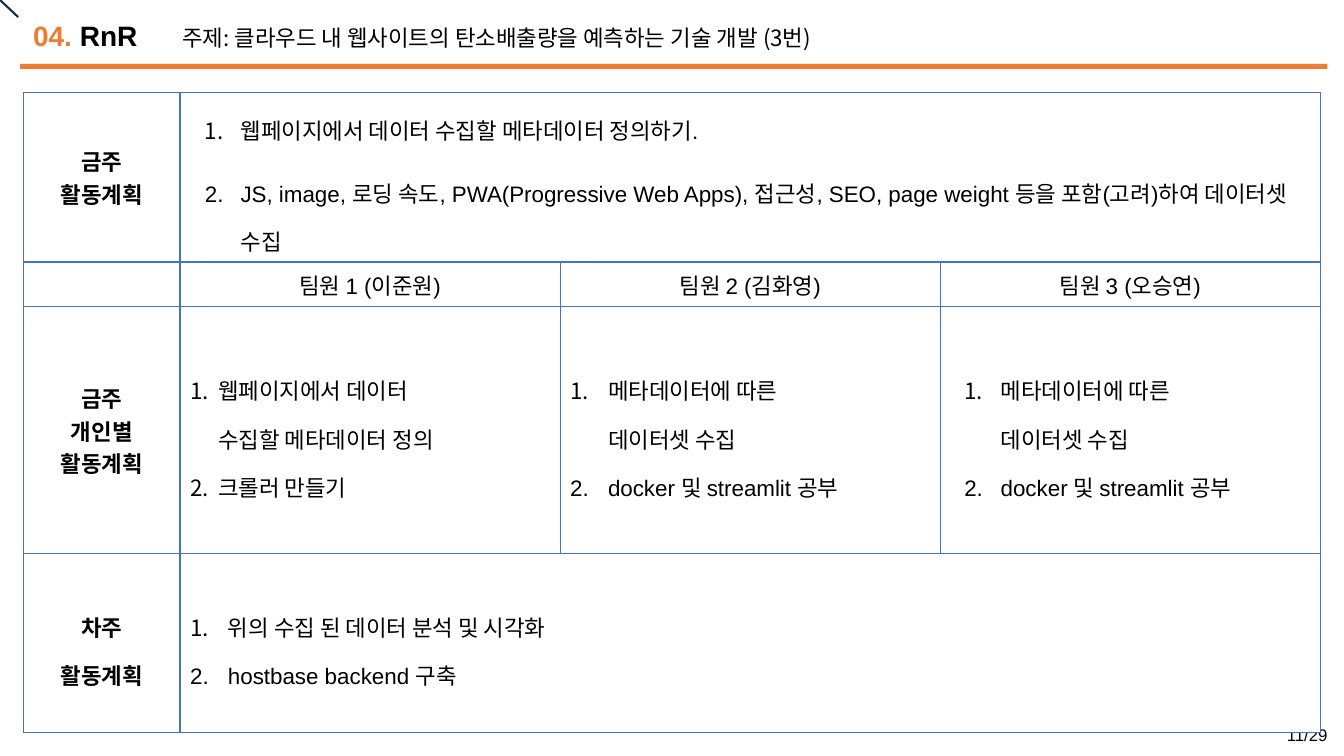
from lxml.etree import SubElement
from pptx import Presentation
from pptx.dml.color import RGBColor
from pptx.enum.shapes import MSO_CONNECTOR, MSO_SHAPE
from pptx.enum.text import MSO_ANCHOR, MSO_AUTO_SIZE, PP_ALIGN
from pptx.oxml.ns import qn
from pptx.util import Pt

COLORS = {"accent": "ED7D31", "corner": "182B4D", "border": "4472C4",
          "text": "000000", "cell": "FFFFFF"}
LATIN, KOREAN = "Arial", "Noto Sans CJK KR"
COLUMN_WIDTHS = [111.8, 271.5, 271.5, 271.5]
ROW_HEIGHTS = [121, 32, 176.4, 127.4]
HEADINGS = {0: ["금주", "활동계획"], 2: ["금주", "개인별", "활동계획"], 3: ["차주", "활동계획"]}
MEMBERS = ["이준원", "김화영", "오승연"]
# Each item is (number, text); a continuation line has no number.
WEEK_PLAN = [
    (1, "웹페이지에서 데이터 수집할 메타데이터 정의하기."),
    (2, "JS, image, 로딩 속도, PWA(Progressive Web Apps), 접근성, SEO, page weight 등을 "
        "포함(고려)하여 데이터셋 수집"),
]
DATASET_PLAN = [(1, "메타데이터에 따른"), (None, "데이터셋 수집"),
                (2, "docker 및 streamlit 공부")]
CRAWLER_PLAN = [(1, "웹페이지에서 데이터"), (None, "수집할 메타데이터 정의"),
                (2, "크롤러 만들기")]
NEXT_PLAN = [(1, "위의 수집 된 데이터 분석 및 시각화"), (2, "hostbase backend 구축")]


def color(name):
    return RGBColor.from_string(COLORS[name])


def set_font(paragraph, size=16, bold=False, latin=LATIN):
    font = paragraph.font
    font.size, font.bold, font.name = Pt(size), bold, latin
    font.color.rgb = color("text")
    properties = paragraph._p.get_or_add_pPr().find(qn("a:defRPr"))
    properties.set("kern", "0")
    SubElement(properties, qn("a:ea"), typeface=KOREAN)


def paragraphs_for(text_frame, count):
    return [text_frame.paragraphs[0]] + [text_frame.add_paragraph() for _ in range(count - 1)]


def write_lines(cell, lines, bold=False, spacing=1.0):
    for paragraph, line in zip(paragraphs_for(cell.text_frame, len(lines)), lines):
        paragraph.text = line
        paragraph.alignment = PP_ALIGN.CENTER
        paragraph.line_spacing = spacing
        set_font(paragraph, bold=bold)


def write_numbered(cell, items, margin, hanging, gap=0):
    """Number the items; restart the count explicitly after a continuation line."""
    previous = 0
    for paragraph, (number, text) in zip(paragraphs_for(cell.text_frame, len(items)), items):
        paragraph.text = text
        properties = paragraph._p.get_or_add_pPr()
        properties.set("marL", str(Pt(margin)))
        properties.set("indent", str(-Pt(hanging) if number else 0))
        if number:
            SubElement(properties, qn("a:buFont"), typeface=LATIN)
            bullet = SubElement(properties, qn("a:buAutoNum"), type="arabicPeriod")
            if previous is None:
                bullet.set("startAt", str(number))
        else:
            SubElement(properties, qn("a:buNone"))
        paragraph.line_spacing = 1.5
        if gap and previous:
            paragraph.space_before = Pt(gap)
        set_font(paragraph)
        previous = number


def style_cell(cell, top=1, bottom=1):
    properties = cell._tc.get_or_add_tcPr()
    for side, width in (("L", 1), ("R", 1), ("T", top), ("B", bottom)):
        line = SubElement(properties, qn(f"a:ln{side}"), w=str(Pt(width)), cap="flat", cmpd="sng")
        fill = SubElement(line, qn("a:solidFill"))
        SubElement(fill, qn("a:srgbClr"), val=COLORS["border"])
        SubElement(line, qn("a:prstDash"), val="solid")
    cell.fill.solid()
    cell.fill.fore_color.rgb = color("cell")
    cell.vertical_anchor = MSO_ANCHOR.MIDDLE


def add_frame(slide, left, top, width):
    """Corner stroke, title rule and page number."""
    corner = slide.shapes.add_connector(MSO_CONNECTOR.STRAIGHT, 0, 0, Pt(13), Pt(12.2))
    corner.line.color.rgb = color("corner")
    corner.line.width = Pt(1.5)
    SubElement(corner._element.spPr, qn("a:effectLst"))
    rule = slide.shapes.add_shape(MSO_SHAPE.RECTANGLE, Pt(left), Pt(top), Pt(width), Pt(3.6))
    rule.shadow.inherit = False
    rule.fill.solid()
    rule.fill.fore_color.rgb = color("accent")
    rule.line.fill.background()
    page = slide.shapes.add_textbox(Pt(887), Pt(510.5), Pt(68.4), Pt(28.8))
    page.text_frame.word_wrap = True
    page.text_frame.vertical_anchor = MSO_ANCHOR.MIDDLE
    paragraph = page.text_frame.paragraphs[0]
    paragraph.text = "11/29"
    paragraph.alignment = PP_ALIGN.RIGHT
    set_font(paragraph, 12)


def add_heading(slide, left, top, width, height):
    title = slide.shapes.title
    title.left, title.top, title.width, title.height = Pt(left), Pt(top), Pt(width), Pt(height)
    title.text_frame.auto_size = MSO_AUTO_SIZE.NONE
    title.text_frame.vertical_anchor = MSO_ANCHOR.MIDDLE
    paragraph = title.text_frame.paragraphs[0]
    paragraph.alignment = PP_ALIGN.LEFT
    paragraph.line_spacing = 0.9
    set_font(paragraph, 20, True)
    for text, name in (("04. ", "accent"), ("RnR", "text")):
        run = paragraph.add_run()
        run.text = text
        run.font.color.rgb = color(name)


def add_topic(slide, left, top, width, height):
    topic = slide.shapes.add_textbox(Pt(left), Pt(top), Pt(width), Pt(height))
    topic.text_frame.word_wrap = True
    topic.text_frame.auto_size = MSO_AUTO_SIZE.SHAPE_TO_FIT_TEXT
    paragraph = topic.text_frame.paragraphs[0]
    paragraph.text = "주제: 클라우드 내 웹사이트의 탄소배출량을 예측하는 기술 개발 (3번)"
    set_font(paragraph, latin=KOREAN)


def add_plan_table(slide, left, top):
    table = slide.shapes.add_table(
        len(ROW_HEIGHTS), len(COLUMN_WIDTHS), Pt(left), Pt(top),
        Pt(sum(COLUMN_WIDTHS)), Pt(sum(ROW_HEIGHTS))).table
    table.first_row = table.horz_banding = False
    for column, width in zip(table.columns, COLUMN_WIDTHS):
        column.width = Pt(width)
    for index, (row, height) in enumerate(zip(table.rows, ROW_HEIGHTS)):
        row.height = Pt(height)
        for cell in row.cells:
            style_cell(cell, top=2 if index == 1 else 1, bottom=2 if index == 0 else 1)
    for row in (0, 3):
        table.cell(row, 1).merge(table.cell(row, 3))
    for row, lines in HEADINGS.items():
        write_lines(table.cell(row, 0), lines, bold=True, spacing=1.5 if row == 3 else 1.0)
    set_font(table.cell(1, 0).text_frame.paragraphs[0])
    for number, member in enumerate(MEMBERS, 1):
        write_lines(table.cell(1, number), [f"팀원 {number} ({member})"])
    write_numbered(table.cell(0, 1), WEEK_PLAN, 36, 25.5, gap=10)
    write_numbered(table.cell(2, 1), CRAWLER_PLAN, 20, 20)
    write_numbered(table.cell(2, 2), DATASET_PLAN, 27, 27)
    write_numbered(table.cell(2, 3), DATASET_PLAN, 36, 26)
    write_numbered(table.cell(3, 1), NEXT_PLAN, 27, 27)


def main():
    presentation = Presentation()
    presentation.slide_width, presentation.slide_height = Pt(960), Pt(540)
    slide = presentation.slides.add_slide(presentation.slide_layouts[5])
    add_frame(slide, 14.4, 45.7, 933.8)
    add_heading(slide, 16.4, 8.4, 812.9, 36.7)
    add_plan_table(slide, 16.8, 66.2)
    add_topic(slide, 123.1, 13.7, 673.2, 26.6)
    presentation.save("out.pptx")


if __name__ == "__main__":
    main()
